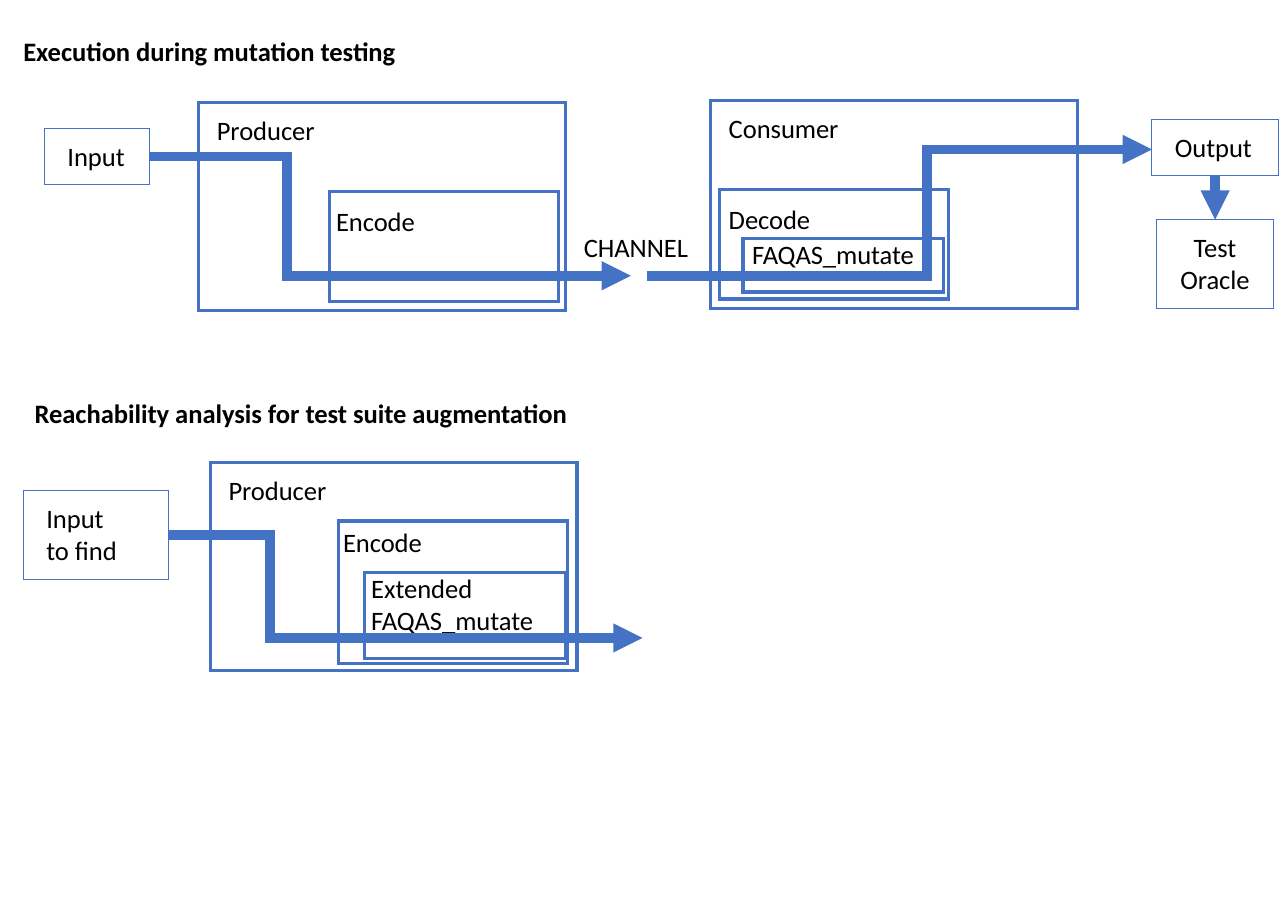
from dataclasses import dataclass

from lxml import etree
from pptx import Presentation
from pptx.dml.color import RGBColor
from pptx.enum.shapes import MSO_CONNECTOR, MSO_SHAPE
from pptx.enum.text import MSO_ANCHOR, MSO_AUTO_SIZE, PP_ALIGN
from pptx.oxml.ns import qn
from pptx.shapes.autoshape import Shape
from pptx.shapes.connector import Connector
from pptx.slide import Slide
from pptx.util import Cm, Emu, Inches, Pt

PX = 9144  # 100 px to the inch
BLUE = RGBColor(0x44, 0x72, 0xC4)
BLACK = RGBColor(0, 0, 0)
FONT = "Calibri"
SIZE = Pt(8.2)
ROW, STEP = 24, 14  # height of one text line, and of each further line
RECT = MSO_SHAPE.RECTANGLE
ELBOW, STRAIGHT = MSO_CONNECTOR.ELBOW, MSO_CONNECTOR.STRAIGHT
LEFT, CENTER = PP_ALIGN.LEFT, PP_ALIGN.CENTER
TOP = MSO_ANCHOR.TOP
FIT = MSO_AUTO_SIZE.SHAPE_TO_FIT_TEXT
BOTTOM_SIDE, TOP_SIDE = 2, 0


@dataclass
class Panel:
    """An outlined part of the system; dx and dy shift its label."""
    x: int
    y: int
    w: int
    h: int
    text: str
    dx: int
    dy: int
    span: int


@dataclass
class Node:
    """A text box with a thin outline."""
    x: int
    y: int
    w: int
    text: str
    align: PP_ALIGN = LEFT
    wrap: bool = False


@dataclass
class Flow:
    """A thick elbow line that turns at the given share of its width."""
    x1: int
    y1: int
    x2: int
    y2: int
    turn: float


PANELS = [
    Panel(85, 44, 157, 89, "Producer", -2, 0, 63),
    Panel(141, 82, 98, 47, "Encode", -7, 1, 54),
    Panel(304, 43, 157, 89, "Consumer", -2, 0, 68),
    Panel(308, 81, 98, 47, "Decode", -6, 1, 55),
    Panel(318, 102, 86, 23, "FAQAS_mutate", -6, -5, 91),
    Panel(90, 198, 157, 89, "Producer", -2, 0, 63),
    Panel(145, 223, 98, 61, "Encode", -8, -3, 54),
    Panel(156, 245, 86, 37, "Extended\nFAQAS_mutate", -7, -5, 91),
]
INPUT = Node(19, 55, 45, "Input")
OUTPUT = Node(493, 51, 54, "Output")
ORACLE = Node(495, 94, 50, "Test\nOracle", CENTER)
FIND = Node(10, 210, 62, "Input\nto find", wrap=True)
FLOWS = [
    Flow(64, 67, 270, 118, 0.286),
    Flow(277, 118, 493, 64, 0.554),
    Flow(72, 229, 275, 273, 0.215),
]


def emu(*vals: int) -> list[Emu]:
    return [Emu(v * PX) for v in vals]


def write(shape: Shape, text: str, align: PP_ALIGN = LEFT,
          wrap: bool = False, bold: bool = False) -> None:
    frame = shape.text_frame
    frame.text = text
    frame.word_wrap = wrap
    frame.auto_size = FIT
    frame.vertical_anchor = TOP
    frame.margin_left = frame.margin_right = Inches(0.1)
    frame.margin_top = frame.margin_bottom = Inches(0.05)
    for para in frame.paragraphs:
        para.alignment = align
        for run in para.runs:
            run.font.name = FONT
            run.font.size = SIZE
            run.font.bold = bold
            run.font.color.rgb = BLACK


def label(slide: Slide, x: int, y: int, w: int, text: str,
          align: PP_ALIGN = LEFT, wrap: bool = False,
          bold: bool = False) -> Shape:
    high = ROW + STEP * text.count("\n")
    box = slide.shapes.add_textbox(*emu(x, y, w, high))
    write(box, text, align, wrap, bold)
    return box


def stroke(item: Shape | Connector, width: float) -> etree.ElementBase:
    """Give a blue line with sharp corners."""
    item.line.color.rgb = BLUE
    item.line.width = Pt(width)
    line = item.element.spPr.find(qn("a:ln"))
    etree.SubElement(line, qn("a:miter"), lim="800000")
    return line


def draw_panel(slide: Slide, part: Panel) -> None:
    box = slide.shapes.add_shape(RECT, *emu(part.x, part.y, part.w, part.h))
    box.shadow.inherit = False
    box.fill.background()
    stroke(box, 1)
    label(slide, part.x + part.dx, part.y + part.dy, part.span, part.text)


def draw_node(slide: Slide, node: Node) -> Shape:
    box = label(slide, node.x, node.y, node.w, node.text,
                node.align, node.wrap)
    box.line.color.rgb = BLUE  # the default width is the thin one
    return box


def style_arrow(line: Connector) -> None:
    etree.SubElement(stroke(line, 3), qn("a:tailEnd"), type="triangle")
    etree.SubElement(line.element.spPr, qn("a:effectLst"))


def draw_flow(slide: Slide, flow: Flow) -> None:
    ends = emu(flow.x1, flow.y1, flow.x2, flow.y2)
    line = slide.shapes.add_connector(ELBOW, *ends)
    style_arrow(line)
    guides = line.element.spPr.find(".//" + qn("a:avLst"))
    etree.SubElement(guides, qn("a:gd"), name="adj1",
                     fmla=f"val {round(flow.turn * 100000)}")


def main() -> None:
    deck = Presentation()
    deck.slide_width, deck.slide_height = Cm(14), Cm(10)
    slide = deck.slides.add_slide(deck.slide_layouts[5])

    # Headings
    title = slide.shapes.title
    title.left, title.top, title.width, title.height = emu(0, 10, 182, ROW)
    write(title, "Execution during mutation testing", bold=True)
    label(slide, 5, 165, 252,
          "Reachability analysis for test suite augmentation", bold=True)

    # System parts and the channel between them
    for part in PANELS:
        draw_panel(slide, part)
    label(slide, 240, 94, 65, "CHANNEL")

    # Inputs and results
    for node in (INPUT, FIND):
        draw_node(slide, node)
    output = draw_node(slide, OUTPUT)
    oracle = draw_node(slide, ORACLE)

    # Data flows
    for flow in FLOWS:
        draw_flow(slide, flow)
    check = slide.shapes.add_connector(STRAIGHT, *emu(520, 75, 520, 94))
    check.begin_connect(output, BOTTOM_SIDE)
    check.end_connect(oracle, TOP_SIDE)
    style_arrow(check)

    deck.save("out.pptx")


if __name__ == "__main__":
    main()
